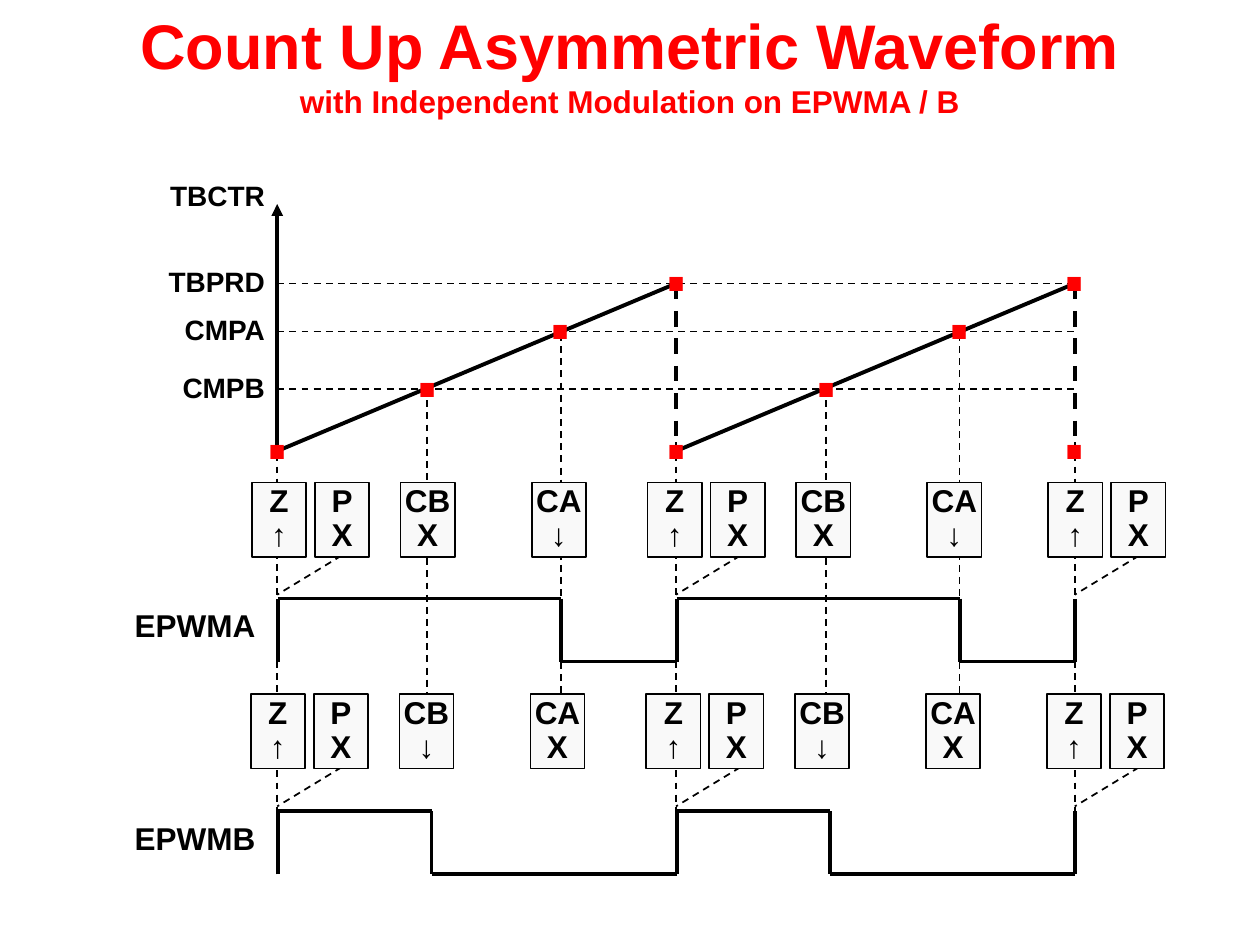
from collections import namedtuple

from lxml.etree import SubElement
from pptx import Presentation
from pptx.dml.color import RGBColor
from pptx.enum.dml import MSO_LINE
from pptx.enum.shapes import MSO_CONNECTOR as Connector, MSO_SHAPE as Shape
from pptx.enum.text import MSO_ANCHOR as Anchor, MSO_AUTO_SIZE as AutoSize, PP_ALIGN as Align
from pptx.oxml.ns import qn
from pptx.util import Inches, Pt

COLORS = {"accent": "FF0000", "ink": "000000", "tag": "F9F9F9"}
FONT = "Arial"

# The page is a grid of 100 columns by 75 rows
Box = namedtuple("Box", "left top width height")
PAGE = Box(0, 0, 100, 75)
UNIT = Inches(10) / PAGE.width

# Timing, in columns: two counting periods and the compare events in each
CYCLES = 2
PERIOD = 31.65
CMPB_AT, CMPA_AT = 11.9, 22.5


def grid(*lengths):
    return [round(length * UNIT) for length in lengths]


def color(name):
    return RGBColor.from_string(COLORS[name])


def write(para, text, size=18, ink="ink", align=Align.CENTER, spacing=0.8, before=0):
    para.alignment = align
    para.line_spacing = spacing
    para.space_before = Pt(before)
    span = para.add_run()
    span.text = text
    span.font.name = FONT
    span.font.size = Pt(size)
    span.font.bold = True
    span.font.color.rgb = color(ink)


def add_label(page, box, text, wrap=True, **style):
    label = page.shapes.add_textbox(*grid(*box))
    frame = label.text_frame
    frame.word_wrap = wrap
    frame.auto_size = AutoSize.SHAPE_TO_FIT_TEXT
    write(frame.paragraphs[0], text, **style)


def add_line(page, start, end, width=2.25, dashed=False, arrow=False):
    line = page.shapes.add_connector(Connector.STRAIGHT, *grid(*start, *end))
    line.line.color.rgb = color("ink")
    line.line.width = Pt(width)
    if dashed:
        line.line.dash_style = MSO_LINE.DASH
    properties = line._element.spPr
    if arrow:
        SubElement(properties.find(qn("a:ln")), qn("a:headEnd"), type="triangle")
    SubElement(properties, qn("a:effectLst"))


def add_guide(page, start, end):
    add_line(page, start, end, width=1, dashed=True)


def add_title(page, box):
    title = page.shapes.title
    title.left, title.top, title.width, title.height = grid(*box)
    frame = title.text_frame
    frame.word_wrap = True
    frame.auto_size = AutoSize.NONE
    frame.vertical_anchor = Anchor.TOP
    frame.margin_top = Inches(0.05)
    para = frame.paragraphs[0]
    write(para, "Count Up Asymmetric Waveform", size=36, ink="accent", spacing=1)
    para.add_line_break()
    write(para, "with Independent Modulation on EPWMA / B", ink="accent", spacing=1)


def add_event_guides(page, box):
    """Vertical guides that drop from the counter's events to the outputs."""
    for cycle in range(CYCLES + 1):
        start = box.left + cycle * PERIOD
        drops = [(0, 12.6)]
        if cycle < CYCLES:
            drops += [(CMPB_AT, 8.3), (CMPA_AT, 4)]
        for offset, row in drops:
            top = box.top + row
            add_guide(page, (start + offset, top), (start + offset, top + 29.8))


def add_dot(page, x, y):
    add_label(page, Box(x - 2, y - 5.6, 3.9, 8.3), ".", wrap=False,
              size=54, ink="accent", align=Align.LEFT)


def add_axis_label(page, axis, top, name):
    """Label that ends at the axis, with room to stay on one line."""
    add_label(page, Box(axis - 11, top, 11, 3.1), name, size=16, align=Align.RIGHT)


def add_counter(page, box):
    """Sawtooth counter with its axis, levels and event dots."""
    left, top, width, height = box
    bottom = top + height
    levels = {"TBPRD": top, "CMPA": top + 3.8, "CMPB": top + 8.4}
    axis_top = top - 6.3

    # Axis and level guides with their names
    for name, level in levels.items():
        add_guide(page, (left, level), (left + width, level))
        add_axis_label(page, left, level - 1.5, name)
    add_line(page, (left, axis_top), (left, bottom), arrow=True)
    add_axis_label(page, left, axis_top - 2, "TBCTR")

    # Ramps and resets
    starts = [left + cycle * PERIOD for cycle in range(CYCLES + 1)]
    for start, end in zip(starts, starts[1:]):
        add_line(page, (start, bottom), (end, top))
        add_line(page, (end, top), (end, bottom), dashed=True)

    # Event dots
    for start, end in zip(starts, starts[1:]):
        add_dot(page, start + CMPB_AT, levels["CMPB"])
        add_dot(page, start + CMPA_AT, levels["CMPA"])
        add_dot(page, end, top)
    for start in starts:
        add_dot(page, start, bottom)


def add_tag(page, box, event, action):
    tag = page.shapes.add_shape(Shape.RECTANGLE, *grid(*box))
    tag.shadow.inherit = False
    tag.fill.solid()
    tag.fill.fore_color.rgb = color("tag")
    tag.line.color.rgb = color("ink")
    tag.line.width = Pt(1)
    frame = tag.text_frame
    frame.word_wrap = False
    frame.vertical_anchor = Anchor.TOP
    frame.margin_left = frame.margin_right = 0
    frame.margin_top = Inches(0.05)
    write(frame.paragraphs[0], event)
    write(frame.add_paragraph(), action, before=2)


def add_tag_row(page, box, actions):
    """Event tags for each cycle, with a leader from each P tag."""
    offsets = {"Z": 0, "P": 5, "CB": 11.8, "CA": 22.2}
    for cycle, start in enumerate((0, 31.4, 63.2)):
        zero = PAGE.left + 22 + cycle * PERIOD
        leader_top = box.top + 5.8
        add_guide(page, (zero + 5.1, leader_top), (zero, leader_top + 3.1))
        for event, action in actions.items():
            if cycle == CYCLES and event in ("CB", "CA"):
                continue
            tag = Box(box.left + start + offsets[event], box.top, 4.3, box.height)
            add_tag(page, tag, event, action)


def add_output(page, box, name, fall_at):
    """Output wave that is set at zero and cleared at the given column."""
    left, high, width, height = box
    low = high + height
    add_label(page, Box(left - 13.4, high + 0.7, 12.6, 3.4), name, align=Align.RIGHT)
    for cycle in range(CYCLES):
        rise = left + cycle * PERIOD
        fall, end = rise + fall_at, rise + PERIOD
        add_line(page, (rise, low), (rise, high))
        add_line(page, (rise, high), (fall, high))
        add_line(page, (fall, high), (fall, low))
        add_line(page, (fall, low), (end, low))
    add_line(page, (left + width, low), (left + width, high))


def main():
    deck = Presentation()
    deck.slide_width, deck.slide_height = grid(PAGE.width, PAGE.height)
    title_only = deck.slide_layouts[5]
    page = deck.slides.add_slide(title_only)

    span = CYCLES * PERIOD
    counter = Box(22, 22.5, span, 13.3)
    add_title(page, Box(0, 0, PAGE.width, 8.1))
    add_event_guides(page, counter)
    add_tag_row(page, Box(20, 38.3, 72.5, 5.9),
                {"Z": "↑", "P": "X", "CB": "X", "CA": "↓"})
    add_tag_row(page, Box(19.9, 55.1, 72.5, 5.9),
                {"Z": "↑", "P": "X", "CB": "↓", "CA": "X"})
    add_counter(page, counter)
    add_output(page, Box(22.05, 47.5, span, 5), "EPWMA", CMPA_AT)
    add_output(page, Box(22.05, 64.4, span, 5), "EPWMB", 12.2)

    deck.save("out.pptx")


if __name__ == "__main__":
    main()
